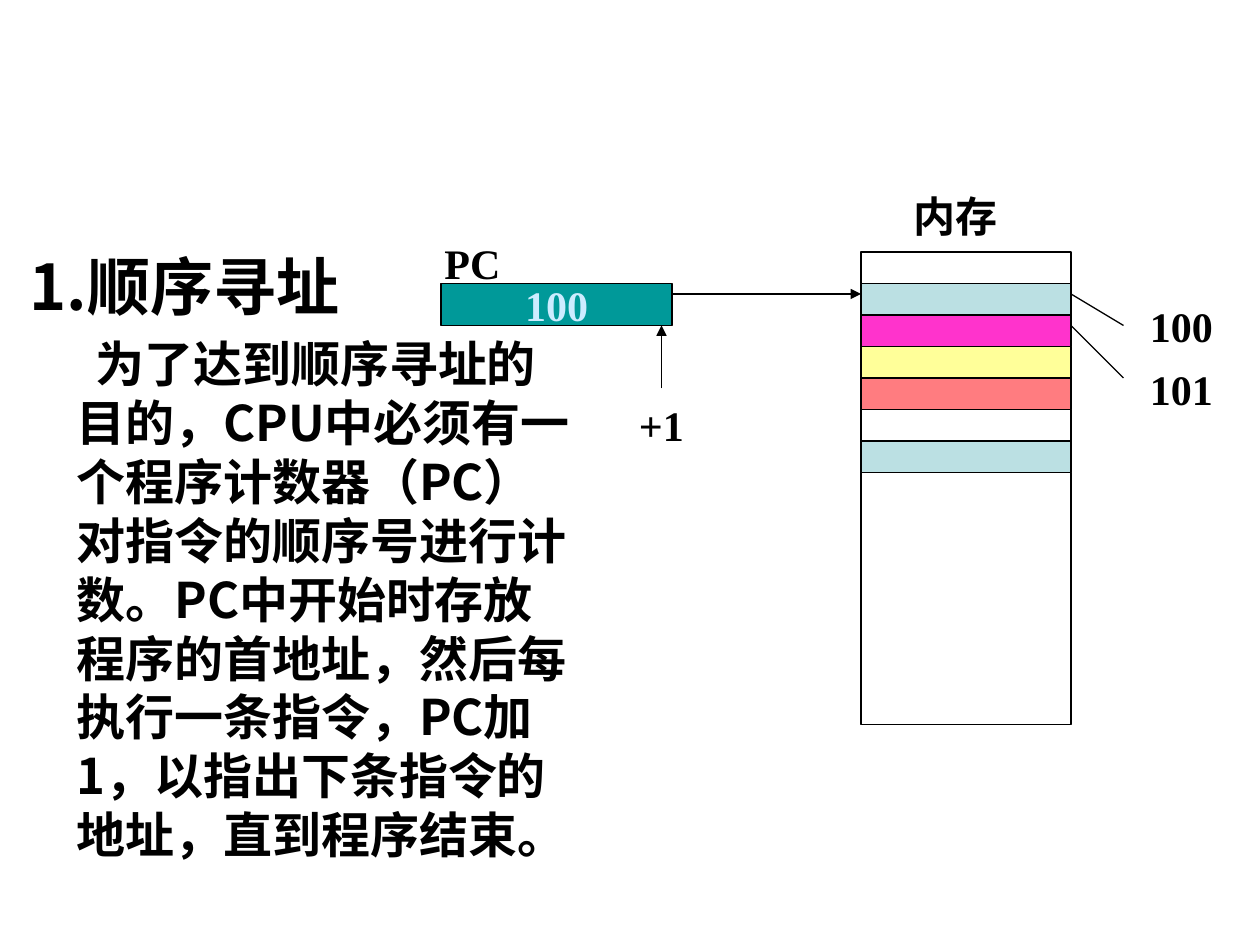
from dataclasses import dataclass

import pptx
import pptx.dml.color
import pptx.enum.shapes
import pptx.enum.text
import pptx.oxml.ns
import pptx.util
from lxml import etree

PX = 7620  # EMU per px, 120 px to the inch
CJK_FONT = "Noto Sans CJK SC"
LATIN_FONT = "Times New Roman"
BLACK = "000000"

MEMORY_LEFT, MEMORY_TOP, MEMORY_WIDTH = 820, 240, 200
CELL_HEIGHT, FREE_HEIGHT = 30, 240
CELL_FILLS = [None, "BBE0E3", "FF33CC", "FFFF99", "FF7C80", None, "BBE0E3"]

HEADING = "1.顺序寻址"
BODY = ("为了达到顺序寻址的目的，CPU中必须有一个程序计数器（PC）对指令的顺序号进行计数。"
        "PC中开始时存放程序的首地址，然后每执行一条指令，PC加 1，以指出下条指令的地址，直到程序结束。")


@dataclass
class Label:
    text: str
    x: int
    y: int
    w: int
    h: int


@dataclass
class Link:
    x1: int
    y1: int
    x2: int
    y2: int
    arrow: bool = False


LABELS = [
    Label("PC", 410, 230, 80, 40),
    Label("+1", 600, 380, 60, 50),
    Label("内存", 830, 180, 160, 50),
    Label("100", 1080, 290, 90, 40),
    Label("101", 1080, 350, 90, 40),
]
LINKS = [
    Link(630, 370, 630, 310, arrow=True),
    Link(640, 280, 820, 280, arrow=True),
    Link(1020, 280, 1070, 310),
    Link(1020, 310, 1070, 360),
]


def px(*lengths: int) -> list[pptx.util.Emu]:
    return [pptx.util.Emu(n * PX) for n in lengths]


def rgb(color: str) -> pptx.dml.color.RGBColor:
    return pptx.dml.color.RGBColor.from_string(color)


def add_xml(parent, tag: str, **attributes: str) -> None:
    etree.SubElement(parent, pptx.oxml.ns.qn(tag), attributes)


def format_runs(p, size: int, font: str, color: str = BLACK) -> None:
    for r in p.runs:
        r.font.size = pptx.util.Pt(size)
        r.font.bold = True
        r.font.color.rgb = rgb(color)
        r.font.name = font
        add_xml(r.font._element, "a:ea", typeface=CJK_FONT)


def set_centred_text(sp, text: str, color: str = BLACK) -> None:
    tf = sp.text_frame
    tf.text = text
    tf.word_wrap = False
    tf.margin_left = tf.margin_right = 0
    tf.vertical_anchor = pptx.enum.text.MSO_ANCHOR.MIDDLE
    p = tf.paragraphs[0]
    p.alignment = pptx.enum.text.PP_ALIGN.CENTER
    format_runs(p, 24, LATIN_FONT, color)


def add_box(s, x: int, y: int, w: int, h: int, fill: str | None = None):
    sp = s.shapes.add_shape(pptx.enum.shapes.MSO_SHAPE.RECTANGLE, *px(x, y, w, h))
    sp.shadow.inherit = False
    if fill:
        sp.fill.solid()
        sp.fill.fore_color.rgb = rgb(fill)
    else:
        sp.fill.background()
    sp.line.color.rgb = rgb(BLACK)
    sp.line.width = pptx.util.Pt(0.75)
    return sp


def add_link(s, link: Link) -> None:
    line = s.shapes.add_connector(pptx.enum.shapes.MSO_CONNECTOR.STRAIGHT,
                                  *px(link.x1, link.y1, link.x2, link.y2))
    line.line.color.rgb = rgb(BLACK)
    line.line.width = pptx.util.Pt(0.75)
    if link.arrow:
        add_xml(line.line._get_or_add_ln(), "a:tailEnd", type="triangle")
    add_xml(line._element.spPr, "a:effectLst")


def add_label(s, label: Label) -> None:
    sp = s.shapes.add_textbox(*px(label.x, label.y, label.w, label.h))
    set_centred_text(sp, label.text)


def fill_body(sp) -> None:
    sp.left, sp.top, sp.width, sp.height = px(16, 230, 550, 624)
    tf = sp.text_frame
    tf.text = f"{HEADING}\n{BODY}"
    tf.word_wrap = True
    tf.auto_size = pptx.enum.text.MSO_AUTO_SIZE.NONE
    for p, size, indent, before in zip(tf.paragraphs, (36, 28), (-45, 18), (0, 6)):
        pPr = p._p.get_or_add_pPr()
        pPr.set("marL", str(45 * PX))
        pPr.set("indent", str(indent * PX))
        pPr.set("hangingPunct", "0")
        add_xml(pPr, "a:buNone")
        p.line_spacing = 1.0
        p.space_before = pptx.util.Pt(before)
        format_runs(p, size, CJK_FONT)


def main() -> None:
    prs = pptx.Presentation()
    prs.slide_width, prs.slide_height = px(1200, 900)
    s = prs.slides.add_slide(prs.slide_layouts[1])
    title = s.shapes.title._element
    title.getparent().remove(title)
    fill_body(s.placeholders[1])

    for i, fill in enumerate(CELL_FILLS):
        add_box(s, MEMORY_LEFT, MEMORY_TOP + i * CELL_HEIGHT, MEMORY_WIDTH, CELL_HEIGHT, fill)
    add_box(s, MEMORY_LEFT, MEMORY_TOP + len(CELL_FILLS) * CELL_HEIGHT, MEMORY_WIDTH, FREE_HEIGHT)

    counter = add_box(s, 420, 270, 220, 40, "009999")
    set_centred_text(counter, "100", "CCECFF")
    for link in LINKS:
        add_link(s, link)
    for label in LABELS:
        add_label(s, label)
    prs.save("out.pptx")


if __name__ == "__main__":
    main()
